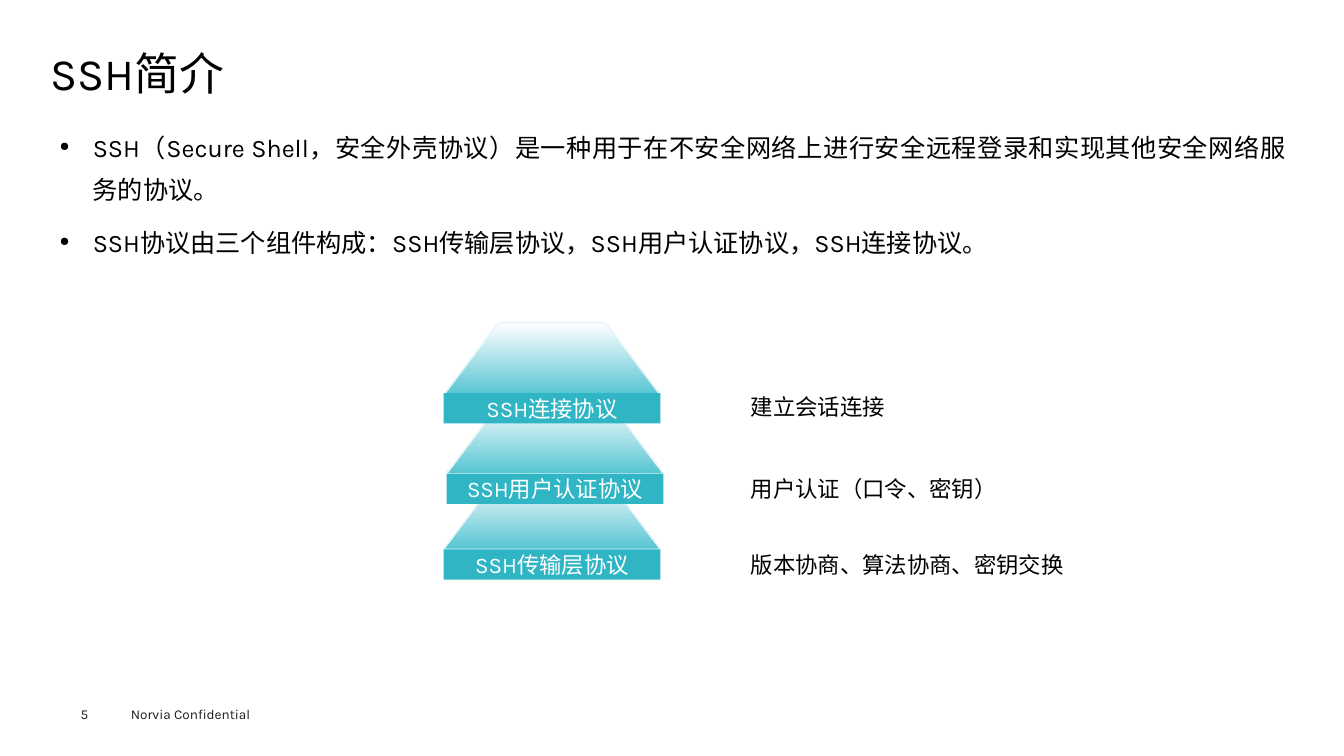
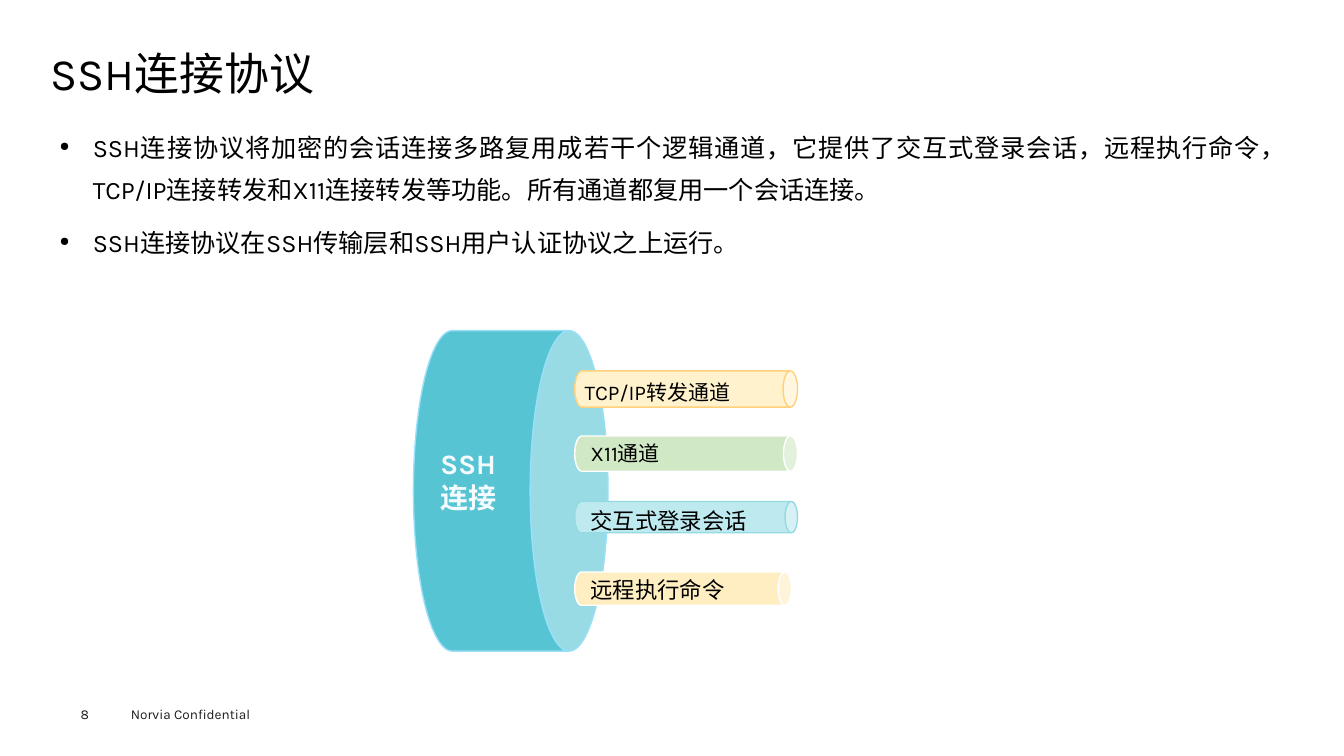
"""Build two slides that introduce SSH and its connection protocol."""
import pptx
import pptx.util
import pptx.dml.color
import pptx.enum.shapes
import pptx.enum.text
import pptx.oxml.ns
import lxml.etree

Inches = pptx.util.Inches
Pt = pptx.util.Pt
Kind = pptx.enum.shapes.MSO_SHAPE
Align = pptx.enum.text.PP_ALIGN
Anchor = pptx.enum.text.MSO_ANCHOR

HUES = {
    "ink": "000000", "foot": "1D1D1B", "white": "FFFFFF", "pale": "F4FBFE",
    "teal": "30B5C5", "aqua": "56C4D2", "mist": "E6F6F8", "sky": "99DFF9",
    "cream": "FFF2CC", "gold": "FFD17D", "green": "D0E8C4",
    "ice": "BEE9EE", "rim": "94DAE2", "sand": "FEEEC1",
}


def tint(name):
    """Return the named colour."""
    return pptx.dml.color.RGBColor.from_string(HUES[name])


class Deck:
    """Hold the shared style and the current slide."""

    face = "Karla"

    def __init__(self):
        """Start an empty wide deck."""
        self.deck = pptx.Presentation()
        self.deck.slide_width = Inches(13.33)
        self.deck.slide_height = Inches(7.5)
        self.slide = None

    def put(self, para, words, size, hue="ink", bold=False):
        """Add one styled run to a paragraph."""
        run = para.add_run()
        run.text = words
        run.font.name = self.face
        run.font.size = Pt(size)
        run.font.bold = bold
        run.font.color.rgb = tint(hue)

    def page(self, title, number):
        """Add a slide with its title and footer."""
        self.slide = self.deck.slides.add_slide(self.deck.slide_layouts[5])
        head = self.slide.shapes.title
        head.left, head.top = Inches(0.5), Inches(0.49)
        head.width, head.height = Inches(12.35), Inches(0.53)
        frame = head.text_frame
        frame.margin_left = frame.margin_right = 0
        frame.margin_top = frame.margin_bottom = 0
        frame.vertical_anchor = Anchor.MIDDLE
        frame.auto_size = pptx.enum.text.MSO_AUTO_SIZE.NONE
        para = frame.paragraphs[0]
        para.alignment = Align.LEFT
        para.line_spacing = 0.9
        self.put(para, title, 32)
        self.text(1.2, 6.95, 1.6, 0.27, ["Norvia Confidential"], 9.7, "foot")
        self.text(0.7, 6.95, 0.55, 0.27, [str(number)], 9.7, "foot")

    def text(self, x, y, w, h, lines, size, hue="ink", bold=False):
        """Add a text box with one paragraph per line."""
        box = self.slide.shapes.add_textbox(
            Inches(x), Inches(y), Inches(w), Inches(h))
        frame = box.text_frame
        frame.word_wrap = True
        for i, line in enumerate(lines):
            para = frame.add_paragraph() if i else frame.paragraphs[0]
            self.put(para, line, size, hue, bold)
        return frame

    def points(self, lines):
        """Add the bulleted body text."""
        frame = self.text(0.5, 1.15, 12.35, 1.6, lines, 18)
        frame.margin_left = frame.margin_right = Inches(0.09)
        frame.margin_top = frame.margin_bottom = Inches(0.04)
        for i, para in enumerate(frame.paragraphs):
            para.alignment = Align.JUSTIFY
            para.line_spacing = 1.4
            if i:
                para.space_before = Pt(7.9)
            props = para._p.get_or_add_pPr()
            props.set("marL", str(Inches(0.33)))
            props.set("indent", str(-Inches(0.33)))
            for tag, key, val in (("a:buSzPct", "val", "50000"),
                                  ("a:buChar", "char", "●")):
                mark = lxml.etree.SubElement(props, pptx.oxml.ns.qn(tag))
                mark.set(key, val)

    def shape(self, kind, x, y, w, h, fill, line=None):
        """Add a preset shape with a plain fill."""
        item = self.slide.shapes.add_shape(
            kind, Inches(x), Inches(y), Inches(w), Inches(h))
        item.shadow.inherit = False
        item.fill.solid()
        item.fill.fore_color.rgb = tint(fill)
        if line:
            item.line.color.rgb = tint(line)
            item.line.width = Pt(1)
        else:
            item.line.fill.background()
        return item

    def layer(self, x, top, base, label):
        """Add a fading slope on a labelled bar."""
        slope = self.shape(Kind.TRAPEZOID, x, top, 2.15, 0.72, "aqua", "mist")
        slope.adjustments[0] = 0.757
        slope.fill.gradient()
        slope.fill.gradient_angle = 270
        for stop, hue, spot in zip(slope.fill.gradient_stops,
                                   ("white", "aqua"), (0, 1)):
            stop.color.rgb = tint(hue)
            stop.position = spot
        bar = self.shape(Kind.RECTANGLE, x, base, 2.15, 0.3, "teal")
        bar.text_frame.vertical_anchor = Anchor.MIDDLE
        para = bar.text_frame.paragraphs[0]
        para.alignment = Align.CENTER
        self.put(para, label, 16, "white")

    def pipe(self, x, mid, span, thick, fill, line):
        """Add a can lying on its side, from its left end and middle."""
        can = self.shape(Kind.CAN, x + (span - thick) / 2, mid - span / 2,
                         thick, span, fill, line)
        can.adjustments[0] = 0.4
        can.rotation = 90


def intro(deck):
    """Draw the three protocol layers."""
    deck.page("SSH简介", 5)
    deck.points([
        "SSH（Secure Shell，安全外壳协议）是一种用于在不安全网络上进行安全远程登录和实现其他安全网络服务的协议。",
        "SSH协议由三个组件构成：SSH传输层协议，SSH用户认证协议，SSH连接协议。",
    ])
    layers = [
        (4.4, 4.73, 5.45, "SSH传输层协议", 5.42, "版本协商、算法协商、密钥交换"),
        (4.43, 3.98, 4.7, "SSH用户认证协议", 4.66, "用户认证（口令、密钥）"),
        (4.4, 3.2, 3.9, "SSH连接协议", 3.85, "建立会话连接"),
    ]
    for x, top, base, label, y, role in layers:
        deck.layer(x, top, base, label)
        deck.text(7.35, y, 3.6, 0.37, [role], 16)


def link(deck):
    """Draw the channels inside one connection."""
    deck.page("SSH连接协议", 8)
    deck.points([
        "SSH连接协议将加密的会话连接多路复用成若干个逻辑通道，它提供了交互式登录会话，远程执行命令，TCP/IP连接转发和X11连接转发等功能。所有通道都复用一个会话连接。",
        "SSH连接协议在SSH传输层和SSH用户认证协议之上运行。",
    ])
    deck.pipe(4.1, 4.87, 1.93, 3.18, "aqua", "sky")
    deck.text(4.27, 4.38, 0.98, 0.77, ["SSH", "连接"], 20, "pale", True)
    pipes = [
        (3.86, 2.21, 0.36, "cream", "gold", 5.7, 3.72, "TCP/IP转发通道", 15),
        (4.5, 2.21, 0.35, "green", "white", 5.76, 4.32, "X11通道", 15),
        (5.13, 2.21, 0.31, "ice", "rim", 5.76, 4.98, "交互式登录会话", 16),
        (5.84, 2.15, 0.33, "sand", "white", 5.76, 5.67, "远程执行命令", 16),
    ]
    for mid, span, thick, fill, line, x, y, label, size in pipes:
        deck.pipe(5.7, mid, span, thick, fill, line)
        deck.text(x, y, 2.16, 0.37, [label], size)


def main():
    """Build and save the deck."""
    deck = Deck()
    intro(deck)
    link(deck)
    deck.deck.save("out.pptx")


if __name__ == "__main__":
    main()
